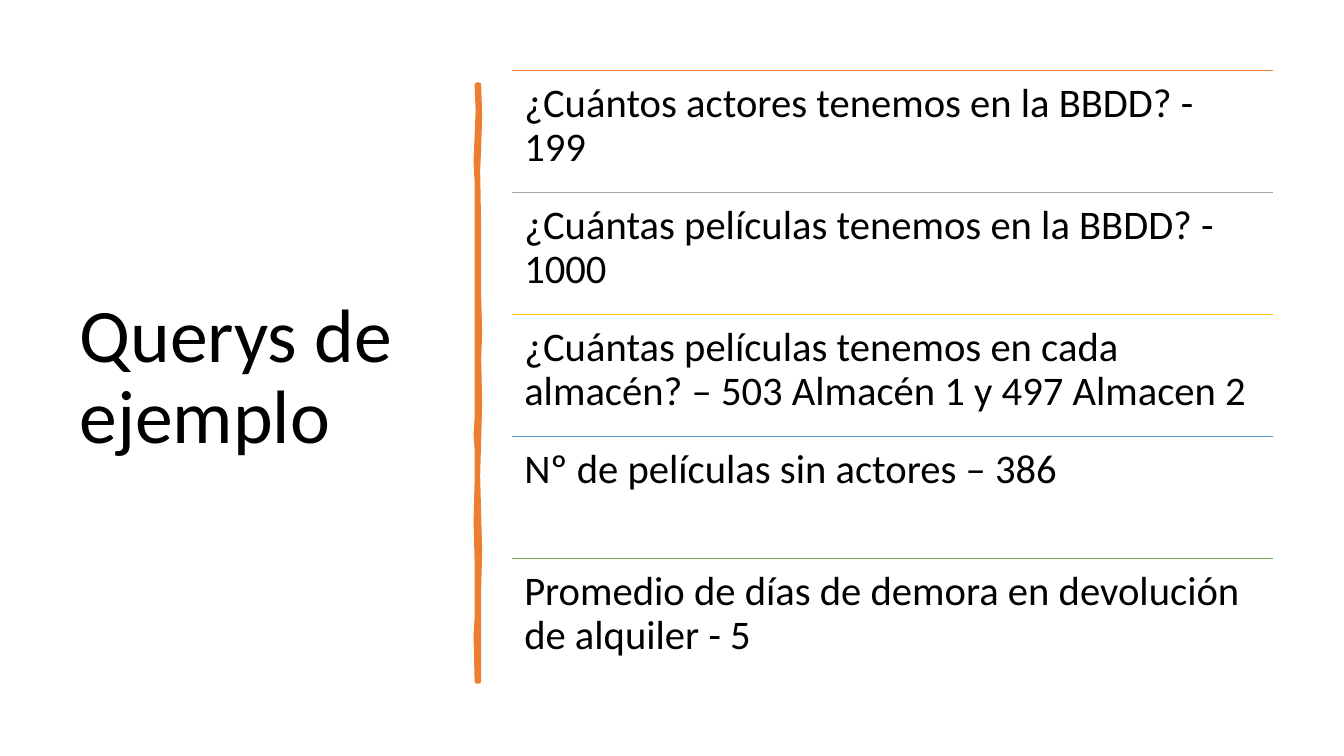
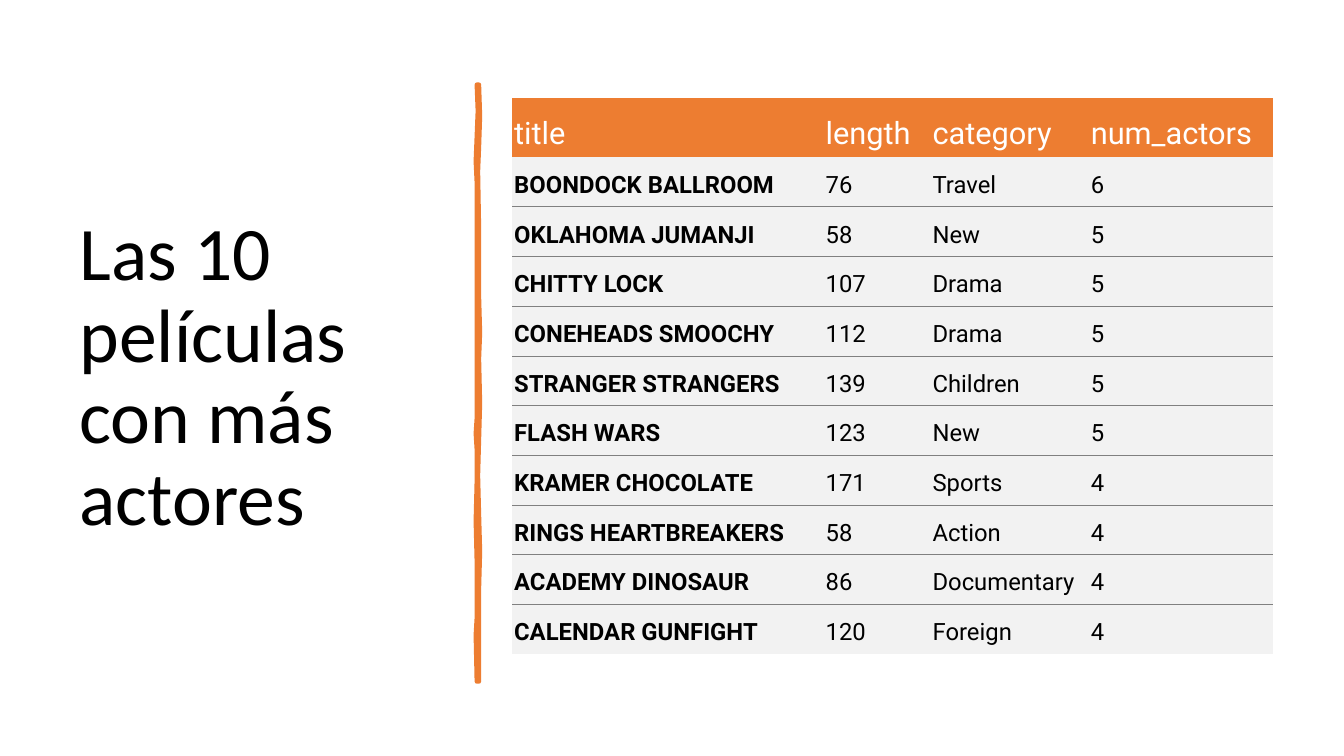
from lxml import etree
from pptx import Presentation
from pptx.dml.color import RGBColor
from pptx.enum.shapes import MSO_CONNECTOR
from pptx.enum.text import MSO_ANCHOR, MSO_AUTO_SIZE, PP_ALIGN
from pptx.oxml.ns import qn
from pptx.util import Pt

PX = 9144  # EMU per px, 100 px to the inch
LEFT, TOP, MIDDLE = PP_ALIGN.LEFT, MSO_ANCHOR.TOP, MSO_ANCHOR.MIDDLE
STRAIGHT, NO_AUTOFIT = MSO_CONNECTOR.STRAIGHT, MSO_AUTO_SIZE.NONE
TITLE_ONLY = 5
PLAIN_TABLE = "{2D5ABB26-0587-4C30-8999-92F81FD0307C}"

COLORS = {
    "text": "000000",
    "white": "FFFFFF",
    "orange": "ED7D31",
    "gray": "A5A5A5",
    "gold": "FFC000",
    "blue": "5B9BD5",
    "green": "70AD47",
    "row": "F2F2F2",
    "rule": "808080",
}
HEAD_FONT, TABLE_FONT = "Calibri", "Roboto"
CONTENT_X, CONTENT_W = 508, 755

# Outline of the hand-drawn bar: down the right edge, up the left one
BAR = [
    (475, 84), (476, 115), (475, 146), (474, 170), (475, 226), (475, 294),
    (476, 330), (475, 356), (476, 400), (475, 436), (474, 472), (475, 510),
    (476, 547), (475, 584), (475, 676),
    (473, 676), (472, 630), (473, 613), (473, 557), (472, 517), (473, 477),
    (473, 446), (472, 430), (473, 415), (473, 335), (473, 250), (473, 181),
    (472, 160), (474, 110), (473, 84),
]

QUERIES = [
    ("orange", "¿Cuántos actores tenemos en la BBDD? - 199"),
    ("gray", "¿Cuántas películas tenemos en la BBDD? - 1000"),
    ("gold", "¿Cuántas películas tenemos en cada almacén? – 503 Almacén 1 y 497 Almacen 2"),
    ("blue", "Nº de películas sin actores – 386"),
    ("green", "Promedio de días de demora en devolución de alquiler - 5"),
]

COLUMNS = [("title", 309), ("length", 106), ("category", 157), ("num_actors", 183)]
FILMS = [
    ("BOONDOCK BALLROOM", 76, "Travel", 6),
    ("OKLAHOMA JUMANJI", 58, "New", 5),
    ("CHITTY LOCK", 107, "Drama", 5),
    ("CONEHEADS SMOOCHY", 112, "Drama", 5),
    ("STRANGER STRANGERS", 139, "Children", 5),
    ("FLASH WARS", 123, "New", 5),
    ("KRAMER CHOCOLATE", 171, "Sports", 4),
    ("RINGS HEARTBREAKERS", 58, "Action", 4),
    ("ACADEMY DINOSAUR", 86, "Documentary", 4),
    ("CALENDAR GUNFIGHT", 120, "Foreign", 4),
]


def px(*lengths):
    return [round(n * PX) for n in lengths]


def rgb(name):
    return RGBColor.from_string(COLORS[name])


def write(tf, text, size, font=HEAD_FONT, color="text", bold=False, spacing=None):
    """Put one left-aligned run into a text frame."""
    p = tf.paragraphs[0]
    p.alignment = LEFT
    p.line_spacing = spacing
    r = p.add_run()
    r.text = text
    r.font.size, r.font.name, r.font.bold = Pt(size), font, bold
    r.font.color.rgb = rgb(color)


def set_margins(target, left, top, right, bottom):
    target.margin_left, target.margin_top, target.margin_right, target.margin_bottom = px(
        left, top, right, bottom)


def add_bar(slide):
    builder = slide.shapes.build_freeform(*BAR[0], scale=PX)
    builder.add_line_segments(BAR[1:], close=True)
    sp = builder.convert_to_shape()
    sp.shadow.inherit = False
    sp.fill.solid()
    sp.fill.fore_color.rgb = rgb("orange")
    sp.line.color.rgb = rgb("orange")
    sp.line.width = Pt(3.25)


def add_titled_slide(prs, title):
    """Add a slide with the title on the left and the bar beside it."""
    slide = prs.slides.add_slide(prs.slide_layouts[TITLE_ONLY])
    sp = slide.shapes.title
    sp.left, sp.top, sp.width, sp.height = px(69, 70, 374, 611)
    tf = sp.text_frame
    tf.word_wrap, tf.auto_size, tf.vertical_anchor = True, NO_AUTOFIT, MIDDLE
    write(tf, title, 54, spacing=0.9)
    add_bar(slide)
    return slide


def add_rule(slide, y, color):
    line = slide.shapes.add_connector(
        STRAIGHT, *px(CONTENT_X, y, CONTENT_X + CONTENT_W, y))
    line.line.color.rgb = rgb(color)
    line.line.width = Pt(1)
    etree.SubElement(line._element.spPr, qn("a:effectLst"))


def add_queries(slide, top=70, step=121):
    for i, (color, text) in enumerate(QUERIES):
        y = top + i * step
        add_rule(slide, y, color)
        tf = slide.shapes.add_textbox(*px(CONTENT_X, y, CONTENT_W, step)).text_frame
        tf.word_wrap, tf.vertical_anchor = True, TOP
        set_margins(tf, 12, 12, 12, 12)
        write(tf, text, 29, spacing=0.9)


def add_bottom_border(cell, color):
    ln = etree.Element(qn("a:lnB"), w=str(Pt(0.75)))
    fill = etree.SubElement(ln, qn("a:solidFill"))
    etree.SubElement(fill, qn("a:srgbClr"), val=COLORS[color])
    cell._tc.get_or_add_tcPr().insert(0, ln)


def fill_cell(cell, text, size, fill, anchor, color="text", bold=False):
    set_margins(cell, 2, 14, 2, 2)
    cell.vertical_anchor = anchor
    cell.fill.solid()
    cell.fill.fore_color.rgb = rgb(fill)
    write(cell.text_frame, text, size, TABLE_FONT, color, bold)


def add_films(slide, top=97, height=552, head_h=59):
    frame = slide.shapes.add_table(
        len(FILMS) + 1, len(COLUMNS), *px(CONTENT_X, top, CONTENT_W, height))
    table = frame.table
    table.first_row = table.horz_banding = False
    table._tbl.tblPr.find(qn("a:tableStyleId")).text = PLAIN_TABLE

    table.rows[0].height, row_h = px(head_h, (height - head_h) / len(FILMS))
    for c, (name, width) in enumerate(COLUMNS):
        table.columns[c].width, = px(width)
        fill_cell(table.cell(0, c), name, 22, "orange", MIDDLE, "white")

    for i, film in enumerate(FILMS, 1):
        table.rows[i].height = row_h
        for c, value in enumerate(film):
            cell = table.cell(i, c)
            fill_cell(cell, str(value), 17, "row", TOP, bold=c == 0)
            if i < len(FILMS):
                add_bottom_border(cell, "rule")


def main():
    prs = Presentation()
    prs.slide_width, prs.slide_height = px(1333, 750)
    add_queries(add_titled_slide(prs, "Querys de ejemplo"))
    add_films(add_titled_slide(prs, "Las 10 películas con más actores"))
    prs.save("out.pptx")


if __name__ == "__main__":
    main()
